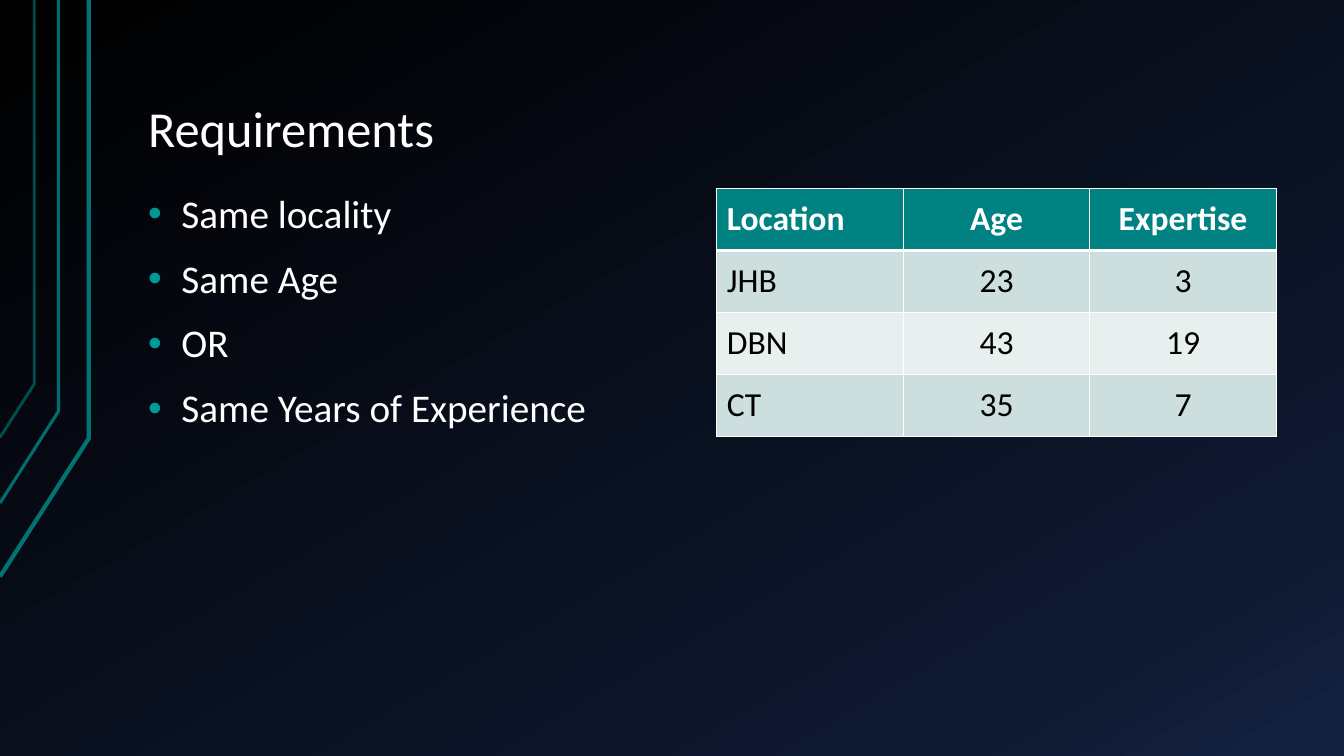
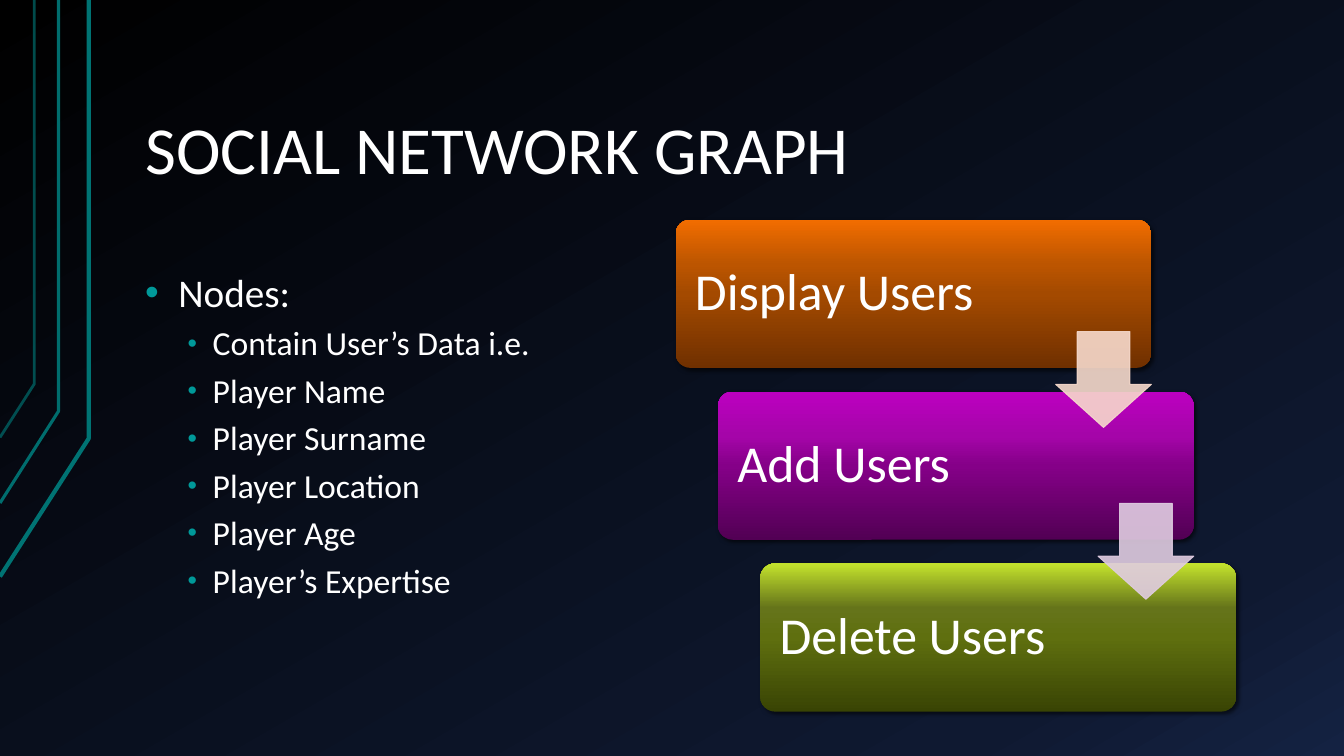
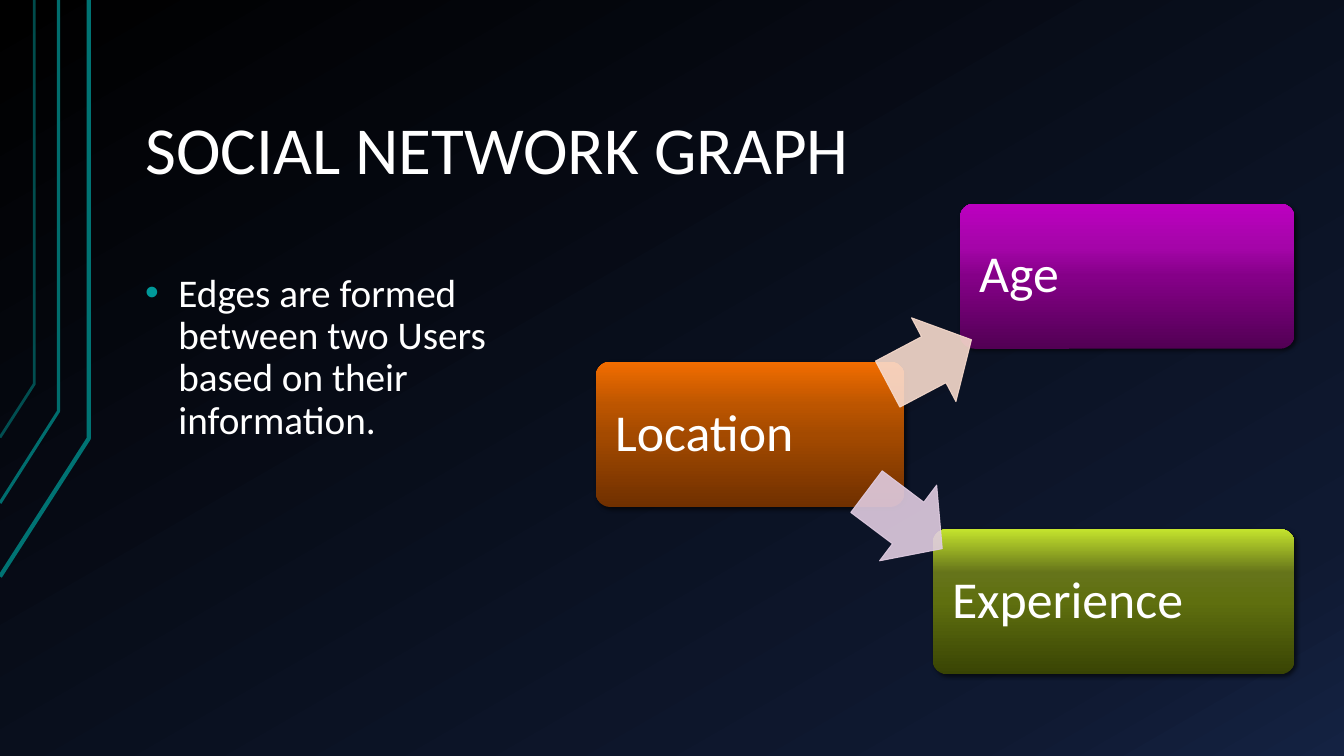
from collections import namedtuple
from dataclasses import dataclass

from pptx import Presentation
from pptx.dml.color import RGBColor
from pptx.enum.shapes import MSO_SHAPE
from pptx.enum.text import MSO_ANCHOR, PP_ALIGN
from pptx.oxml import parse_xml
from pptx.oxml.ns import nsdecls, qn
from pptx.util import Inches, Pt

Box = namedtuple("Box", "x y w h")


@dataclass(frozen=True)
class Theme:
    font: str = "Calibri"
    white: str = "FFFFFF"
    black: str = "000000"
    teal: str = "007373"
    bullet: str = "009999"
    head: str = "008282"
    bands: tuple = ("CCDEDE", "E7EFEF")
    back: tuple = ((0, "000000"), (85, "0F1931"), (100, "142242"))
    orange: tuple = ((0, "703000"), (50, "A44A00"), (70, "BC5500"), (100, "F26D00"))
    purple: tuple = ((0, "520054"), (50, "850088"), (70, "A505A9"), (100, "BC00C0"))
    green: tuple = ((0, "394404"), (50, "5F6F0F"), (70, "65741A"), (100, "C4E32D"))
    peach: str = "F7DACC"
    lilac: str = "E0CCE1"
    title: int = 48
    small: int = 36
    card: int = 37
    body: int = 28
    sub: int = 24


T = Theme()


# Shared helpers
def put(item, **vals):
    for key, val in vals.items():
        setattr(item, key, val)


def place(box):
    return [Inches(v) for v in box]


def rgb(code):
    return RGBColor.from_string(code)


def make(tag, attrs="", inner=""):
    return parse_xml(f'<a:{tag} {nsdecls("a")} {attrs}>{inner}</a:{tag}>')


def ramp(props, stops, angle):
    """Turn the solid fill of props into a linear gradient."""
    marks = "".join(f'<a:gs pos="{pos * 1000}"><a:srgbClr val="{code}"/></a:gs>'
                    for pos, code in stops)
    grad = make("gradFill", 'rotWithShape="1"',
                f'<a:gsLst>{marks}</a:gsLst><a:lin ang="{angle * 60000}" scaled="0"/>')
    props.replace(props.find(qn("a:solidFill")), grad)


def fade(shape, pct):
    for node in shape.element.spPr.iter(qn("a:srgbClr")):
        node.append(make("alpha", f'val="{pct * 1000}"'))


def write(para, text, size, color=T.white, bold=False, **form):
    put(para, **form)
    run = para.add_run()
    run.text = text
    put(run.font, name=T.font, size=Pt(size), bold=bold)
    run.font.color.rgb = rgb(color)


def text_box(slide, box, anchor):
    frame = slide.shapes.add_textbox(*place(box)).text_frame
    put(frame, word_wrap=True, vertical_anchor=anchor,
        margin_left=Inches(0.14), margin_right=Inches(0.13),
        margin_top=Inches(0.06), margin_bottom=Inches(0.06))
    return frame


# Regions
def rails(slide):
    """Three bent lines at the left edge: x, bend, end, width, strength."""
    for x, bend, end, width, pct in ((0.88, 4.35, 5.72, 3, 100),
                                     (0.58, 4.08, 4.99, 2.25, 95),
                                     (0.34, 3.81, 4.34, 2, 65)):
        pen = slide.shapes.build_freeform(0, Inches(end))
        pen.add_line_segments([(Inches(x), Inches(bend)), (Inches(x), 0)],
                              close=False)
        rail = pen.convert_to_shape()
        rail.shadow.inherit = False
        rail.fill.background()
        rail.line.color.rgb = rgb(T.teal)
        rail.line.width = Pt(width)
        fade(rail, pct)


def title(slide, box, text, size):
    frame = text_box(slide, box, MSO_ANCHOR.BOTTOM)
    write(frame.paragraphs[0], text, size, line_spacing=0.9)


def points(slide, box, items):
    """Bulleted text; each item is a level and its wording."""
    frame = text_box(slide, box, MSO_ANCHOR.TOP)
    looks = ((T.body, 16, 0.33, 0.33, 100), (T.sub, 8, 0.67, 0.25, 80))
    for i, (level, text) in enumerate(items):
        para = frame.paragraphs[0] if i == 0 else frame.add_paragraph()
        size, gap, left, hang, scale = looks[level]
        write(para, text, size, level=level, line_spacing=0.9, space_before=Pt(gap))
        props = para._p.get_or_add_pPr()
        props.set("marL", str(Inches(left)))
        props.set("indent", str(-Inches(hang)))
        props.append(make("buClr", inner=f'<a:srgbClr val="{T.bullet}"/>'))
        props.append(make("buSzPct", f'val="{scale * 1000}"'))
        props.append(make("buFont", 'typeface="Arial"'))
        props.append(make("buChar", 'char="\u2022"'))


def grid(slide, box, rows):
    table = slide.shapes.add_table(len(rows), len(rows[0]), *place(box)).table
    for col in table.columns:
        col.width = Inches(box.w / len(rows[0]))
    for r, row in enumerate(rows):
        table.rows[r].height = Inches(box.h / len(rows))
        for c, text in enumerate(row):
            cell = table.cell(r, c)
            cell.vertical_anchor = MSO_ANCHOR.MIDDLE
            write(cell.text_frame.paragraphs[0], text, T.sub,
                  T.black if r else T.white, bold=r == 0,
                  alignment=PP_ALIGN.CENTER if c else PP_ALIGN.LEFT)
            # Borders, thicker under the header
            edges = dict(L=1, R=1, T=3 if r == 1 else 1, B=1 if r else 3)
            for side, width in edges.items():
                cell._tc.get_or_add_tcPr().append(make(
                    f"ln{side}", f'w="{Pt(width)}"',
                    f'<a:solidFill><a:srgbClr val="{T.white}"/></a:solidFill>'))
            cell.fill.solid()
            cell.fill.fore_color.rgb = rgb(T.bands[(r - 1) % 2] if r else T.head)


def card(slide, box, text, stops):
    shape = slide.shapes.add_shape(MSO_SHAPE.ROUNDED_RECTANGLE, *place(box))
    shape.adjustments[0] = 0.1
    shape.line.fill.background()
    shape.fill.solid()
    ramp(shape.element.spPr, stops, 270)
    shape.shadow.inherit = False
    shape.element.spPr.find(qn("a:effectLst")).append(make(
        "outerShdw", f'blurRad="{Pt(3)}" dist="{Pt(2)}" dir="2700000" rotWithShape="0"',
        f'<a:srgbClr val="{T.black}"><a:alpha val="60000"/></a:srgbClr>'))
    frame = shape.text_frame
    put(frame, word_wrap=True, vertical_anchor=MSO_ANCHOR.MIDDLE,
        margin_left=Inches(0.15), margin_right=Inches(0.15))
    write(frame.paragraphs[0], text, T.card, line_spacing=0.9,
          alignment=PP_ALIGN.LEFT)


def arrow(slide, box, color, turn=0):
    shape = slide.shapes.add_shape(MSO_SHAPE.DOWN_ARROW, *place(box))
    shape.adjustments[0], shape.adjustments[1] = 0.55, 0.45
    shape.rotation = turn
    shape.shadow.inherit = False
    shape.fill.solid()
    shape.fill.fore_color.rgb = rgb(color)
    shape.line.color.rgb = rgb(color)
    shape.line.width = Pt(0.75)
    fade(shape, 90)


def stairs(slide, box, steps, tints):
    """Cards stepping down to the right, with arrows between them."""
    wide, high, side = 4.72, 1.47, 0.95
    gaps = len(steps) - 1
    spots = [(box.x + i * (box.w - wide) / gaps, box.y + i * (box.h - high) / gaps)
             for i in range(len(steps))]
    for (x, y), (text, stops) in zip(spots, steps):
        card(slide, Box(x, y, wide, high), text, stops)
    for (x, y), tint in zip(spots, tints):
        arrow(slide, Box(x + wide - side, y + 1.11, side, side), tint)


def fork(slide, box, root, ends, tints):
    """One card at the left that leads to two at the right edge."""
    high, side = 1.44, 0.94
    card(slide, Box(box.x, box.y + 1.57, 3.06, high), *root)
    tops = (box.y, box.y + box.h - high)
    for (text, stops), top, wide in zip(ends, tops, (3.32, 3.59)):
        card(slide, Box(box.x + box.w - wide, top, wide, high), text, stops)
    for tint, x, y, turn in zip(tints, (2.84, 2.59), (1.1, 2.67), (242.1, 307)):
        arrow(slide, Box(box.x + x, box.y + y, side, side), tint, turn)


# Slides
def start(deck):
    slide = deck.slides.add_slide(deck.slide_layouts[6])
    rails(slide)
    return slide


def needs(deck):
    slide = start(deck)
    title(slide, Box(1.33, 0.3, 11.33, 1.33), "Requirements", T.small)
    points(slide, Box(1.33, 1.87, 5.55, 4.88),
           [(0, "Same locality"), (0, "Same Age"), (0, "OR"),
            (0, "Same Years of Experience")])
    grid(slide, Box(7.11, 1.87, 5.55, 2.46),
         [("Location", "Age", "Expertise"), ("JHB", "23", "3"),
          ("DBN", "43", "19"), ("CT", "35", "7")])


def graph(deck, wide, items):
    slide = start(deck)
    title(slide, Box(1.3, 0.13, 9.55, 1.81), "SOCIAL NETWORK GRAPH", T.title)
    points(slide, Box(1.3, 2.65, wide, 3.78), items)
    return slide


def main():
    deck = Presentation()
    put(deck, slide_width=Inches(13.33), slide_height=Inches(7.5))
    master = deck.slide_master
    master.background.fill.solid()
    ramp(master.element.find(".//" + qn("p:bgPr")), T.back, 60)

    needs(deck)
    tints = (T.peach, T.lilac)

    nodes = graph(deck, 5.36, [
        (0, "Nodes:"), (1, "Contain User\u2019s Data i.e."), (1, "Player Name"),
        (1, "Player Surname"), (1, "Player Location"), (1, "Player Age"),
        (1, "Player\u2019s Expertise")])
    stairs(nodes, Box(6.7, 2.18, 5.56, 4.88),
           [("Display Users", T.orange), ("Add Users", T.purple),
            ("Delete Users", T.green)], tints)

    edges = graph(deck, 4.5, [
        (0, "Edges are formed between two Users based on their information.")])
    fork(edges, Box(5.91, 2.02, 6.93, 4.67), ("Location", T.orange),
         [("Age", T.purple), ("Experience", T.green)], tints)

    deck.save("out.pptx")


main()
